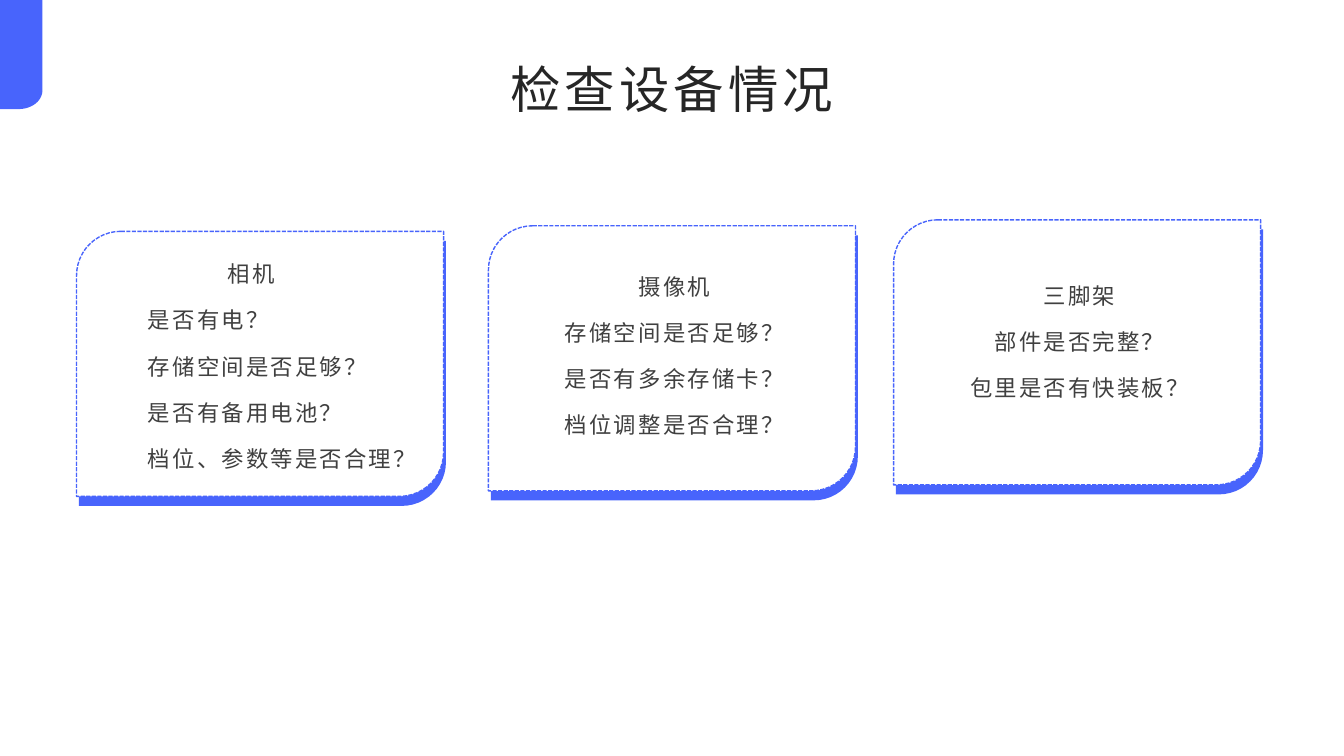
from math import cos, pi, sin

from lxml.etree import SubElement
from pptx import Presentation
from pptx.dml.color import RGBColor
from pptx.enum.dml import MSO_LINE
from pptx.enum.shapes import MSO_SHAPE as SHAPE
from pptx.enum.text import MSO_ANCHOR as ANCHOR
from pptx.enum.text import MSO_AUTO_SIZE as FIT
from pptx.enum.text import PP_ALIGN as ALIGN
from pptx.oxml.ns import qn
from pptx.util import Cm, Pt

BLUE, WHITE = "4864FC", "FFFFFF"
CJK = "Noto Sans CJK SC"
CARD_W, CARD_H = 9.25, 6.68

# left, top, text offset from card top, text width, text height,
# heading indented, questions centred, heading, questions
CARDS = [
    (1.93, 5.83, 0.43, 8.15, 5.79, False, False, "相机",
     ["是否有电？", "存储空间是否足够？", "是否有备用电池？", "档位、参数等是否合理？"]),
    (12.31, 5.69, 0.89, 7.44, 4.62, True, True, "摄像机",
     ["存储空间是否足够？", "是否有多余存储卡？", "档位调整是否合理？"]),
    (22.52, 5.54, 1.27, 7.44, 4.62, True, True, "三脚架",
     ["部件是否完整？", "包里是否有快装板？"]),
]


def rgb(color):
    return RGBColor.from_string(color)


def paint(sp, fill):
    sp.shadow.inherit = False
    sp.fill.solid()
    sp.fill.fore_color.rgb = rgb(fill)
    sp.line.fill.background()


def add_run(p, text, size, color, spacing, font):
    """Add a run; spacing is the letter spacing in points."""
    r = p.add_run()
    r.text = text
    r.font.size = Pt(size)
    r.font.color.rgb = rgb(color)
    r.font.name = font
    rPr = r._r.get_or_add_rPr()
    rPr.set("spc", str(round(spacing * 100)))
    SubElement(rPr, qn("a:ea")).set("typeface", CJK)


def set_margins(tf, x, y):
    tf.margin_left = tf.margin_right = Cm(x)
    tf.margin_top = tf.margin_bottom = Cm(y)


def add_corner_tab(s, x, y, w, h):
    """Blue tab whose lower right corner is an elliptical arc."""
    rx, ry, steps = 0.6, 0.47, 24
    angles = [i * pi / 2 / steps for i in range(steps + 1)]
    arc = [(x + w - rx + rx * cos(a), y + h - ry + ry * sin(a)) for a in angles]
    outline = [(x + w, y), *arc, (x, y + h)]
    builder = s.shapes.build_freeform(Cm(x), Cm(y))
    builder.add_line_segments([(Cm(px), Cm(py)) for px, py in outline])
    paint(builder.convert_to_shape(), BLUE)


def fill_title(s, x, y, w, h):
    title = s.shapes.title
    title.left, title.top, title.width, title.height = Cm(x), Cm(y), Cm(w), Cm(h)
    tf = title.text_frame
    tf.auto_size = FIT.NONE
    tf.vertical_anchor = ANCHOR.BOTTOM
    set_margins(tf, 0, 0)
    p = tf.paragraphs[0]
    p.alignment = ALIGN.CENTER
    add_run(p, "检查设备情况", 36, "262626", 3, "Karla")


def add_questions(group, x, y, w, h, indent_heading, centred, heading, questions):
    box = group.shapes.add_textbox(Cm(x), Cm(y), Cm(w), Cm(h))
    tf = box.text_frame
    tf.word_wrap = True
    tf.auto_size = FIT.SHAPE_TO_FIT_TEXT
    set_margins(tf, 0.2, 0.1)
    for i, text in enumerate([heading, *questions]):
        p = tf.add_paragraph() if i else tf.paragraphs[0]
        p.alignment = ALIGN.CENTER if centred or i == 0 else ALIGN.LEFT
        p.line_spacing = 1.3
        p.space_before = Pt(8 if i else 0)
        if i or indent_heading:
            pPr = p._p.get_or_add_pPr()
            pPr.set("marL", "0")
            pPr.set("indent", str(Cm(1.27)))
        add_run(p, text, 16, "404040", 1.6, CJK)


def add_card(s, x, y, text_dy, text_w, text_h, *content):
    """Dashed white card over an offset blue one, with its checklist."""
    group = s.shapes.add_group_shape()
    for dx, dy, fill in [(0.06, 0.24, BLUE), (0, 0, WHITE)]:
        sp = group.shapes.add_shape(SHAPE.ROUND_2_DIAG_RECTANGLE, Cm(x + dx),
                                    Cm(y + dy), Cm(CARD_W), Cm(CARD_H))
        paint(sp, fill)
    sp.line.color.rgb = rgb(BLUE)
    sp.line.width = Pt(1)
    sp.line.dash_style = MSO_LINE.SQUARE_DOT
    add_questions(group, x + 0.33, y + text_dy, text_w, text_h, *content)


def main():
    prs = Presentation()
    prs.slide_width, prs.slide_height = Cm(33.87), Cm(19.05)
    s = prs.slides.add_slide(prs.slide_layouts[5])
    add_corner_tab(s, 0, 0, 1.07, 2.75)
    fill_title(s, 1.93, 0.99, 30, 2)
    for card in CARDS:
        add_card(s, *card)
    prs.save("out.pptx")


if __name__ == "__main__":
    main()
